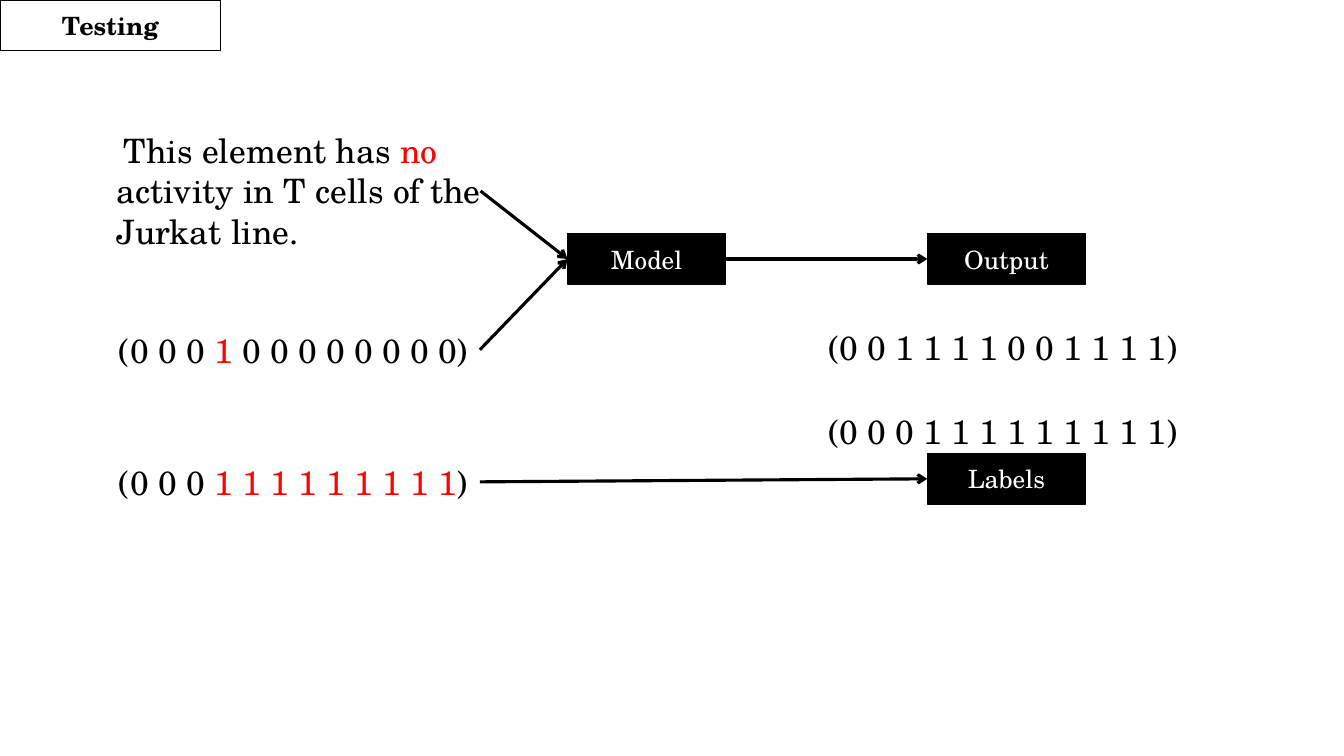
"""Build the testing slide: prompt and vectors feeding a model, output and labels."""
from lxml.etree import SubElement
from pptx import Presentation
from pptx.dml.color import RGBColor
from pptx.enum.shapes import MSO_CONNECTOR, MSO_SHAPE
from pptx.enum.text import MSO_ANCHOR, PP_ALIGN
from pptx.oxml.ns import qn
from pptx.util import Pt

FONT = "TeX Gyre Schola"
BLACK, WHITE, RED = "000000", "FFFFFF", "FF0000"
LEFT_SIDE, RIGHT_SIDE = 1, 3
BOX_WIDTH, ROW_HEIGHT = 113, 36
MODEL_X, RESULT_X, VECTOR_X, RESULT_VECTOR_X = 405.4, 662.4, 77.8, 584.6

TITLE = "Testing"
TEXTS = {
    "prompt": (76.3, 89.3, 267, 94.3, [
        ("This element has ", BLACK), ("no ", RED),
        ("activity in T cells of the Jurkat line.", BLACK)]),
    "query": (VECTOR_X, 231.8, 265, ROW_HEIGHT, [
        ("(0 0 0 ", BLACK), ("1", RED), (" 0 0 0 0 0 0 0 0)", BLACK)]),
    "target": (VECTOR_X, 326.2, 265, ROW_HEIGHT, [
        ("(0 0 0 ", BLACK), ("1 1 1 1 1 1 1 1 1", RED), (")", BLACK)]),
    "label vector": (RESULT_VECTOR_X, 290.2, 280.8, ROW_HEIGHT, [
        ("(0 0 0 1 1 1 1 1 1 1 1 1)", BLACK)]),
    "output vector": (RESULT_VECTOR_X, 229.7, 268.6, ROW_HEIGHT, [
        ("(0 0 1 1 1 1 0 0 1 1 1 1)", BLACK)]),
}
BOXES = {"Model": (MODEL_X, 167), "Output": (RESULT_X, 167), "Labels": (RESULT_X, 324)}
ARROWS = [("prompt", "Model"), ("query", "Model"), ("Model", "Output"), ("target", "Labels")]


def color(hex_code):
    return RGBColor.from_string(hex_code)


def outline(part, width):
    part.line.color.rgb = color(BLACK)
    part.line.width = Pt(width)


def add_runs(part, runs, size, bold=False):
    for text, hex_code in runs:
        run = part.text_frame.paragraphs[0].add_run()
        run.text = text
        run.font.name, run.font.size, run.font.bold = FONT, Pt(size), bold
        run.font.color.rgb = color(hex_code)


def center(part):
    part.text_frame.vertical_anchor = MSO_ANCHOR.MIDDLE
    part.text_frame.paragraphs[0].alignment = PP_ALIGN.CENTER


def add_text(slide, left, top, width, height, runs):
    text = slide.shapes.add_textbox(Pt(left), Pt(top), Pt(width), Pt(height))
    text.text_frame.word_wrap = True
    text.text_frame.margin_right = 0
    add_runs(text, runs, 24)
    return text


def add_box(slide, label, left, top):
    box = slide.shapes.add_shape(
        MSO_SHAPE.RECTANGLE, Pt(left), Pt(top), Pt(BOX_WIDTH), Pt(ROW_HEIGHT))
    box.shadow.inherit = False
    box.fill.solid()
    box.fill.fore_color.rgb = color(BLACK)
    outline(box, 1)
    add_runs(box, [(label, WHITE)], 18)
    center(box)
    return box


def add_arrow(slide, source, goal):
    arrow = slide.shapes.add_connector(MSO_CONNECTOR.STRAIGHT, 0, 0, 0, 0)
    arrow.begin_connect(source, RIGHT_SIDE)
    arrow.end_connect(goal, LEFT_SIDE)
    outline(arrow, 2.25)
    SubElement(arrow.line._get_or_add_ln(), qn("a:tailEnd"), type="arrow")
    SubElement(arrow._element.spPr, qn("a:effectLst"))


deck = Presentation()
deck.slide_width, deck.slide_height = Pt(960), Pt(540)
slide = deck.slides.add_slide(deck.slide_layouts[5])

title = slide.shapes.title
title.left, title.top, title.width, title.height = 0, 0, Pt(157.7), Pt(ROW_HEIGHT)
outline(title, 1)
add_runs(title, [(TITLE, BLACK)], 18, bold=True)
center(title)

parts = {name: add_text(slide, *details) for name, details in TEXTS.items()}
first_line = parts["prompt"].text_frame.paragraphs[0]
first_line._p.get_or_add_pPr().set("indent", str(Pt(5)))
parts.update({label: add_box(slide, label, *corner) for label, corner in BOXES.items()})
for source, goal in ARROWS:
    add_arrow(slide, parts[source], parts[goal])

deck.save("out.pptx")
